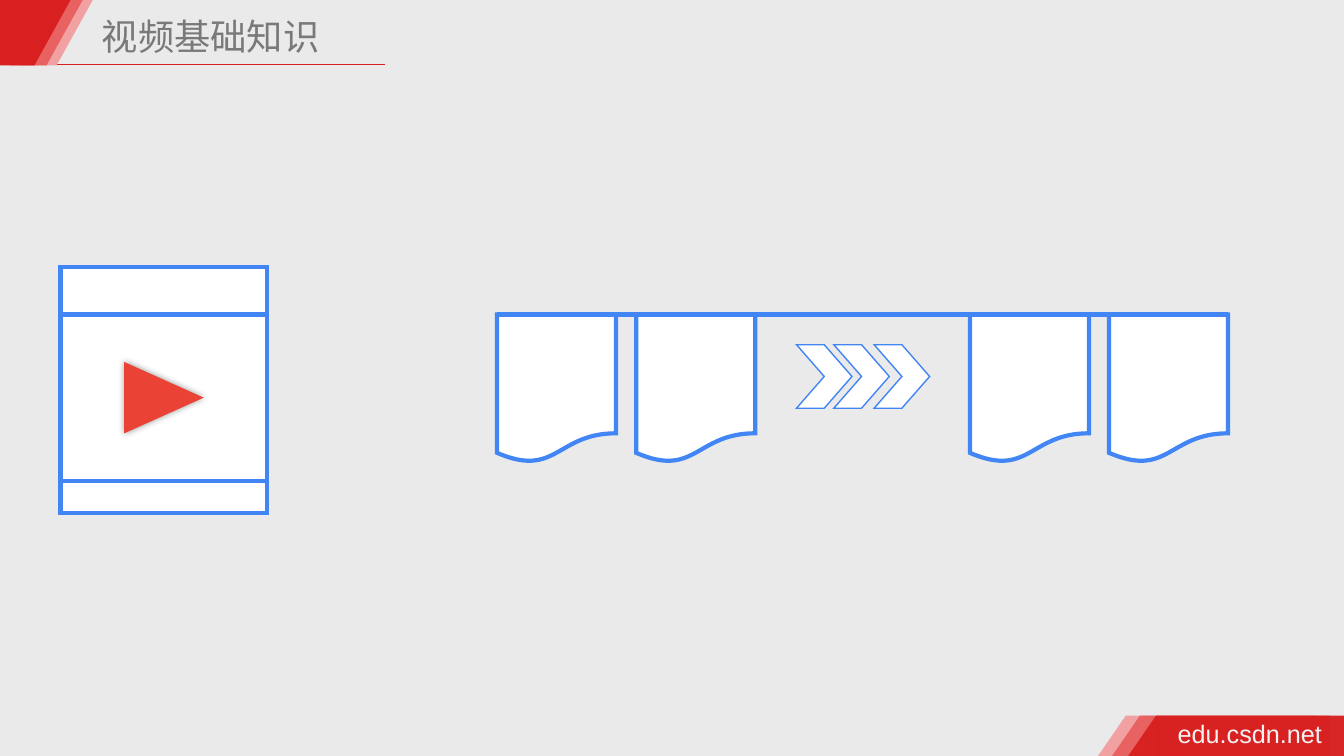
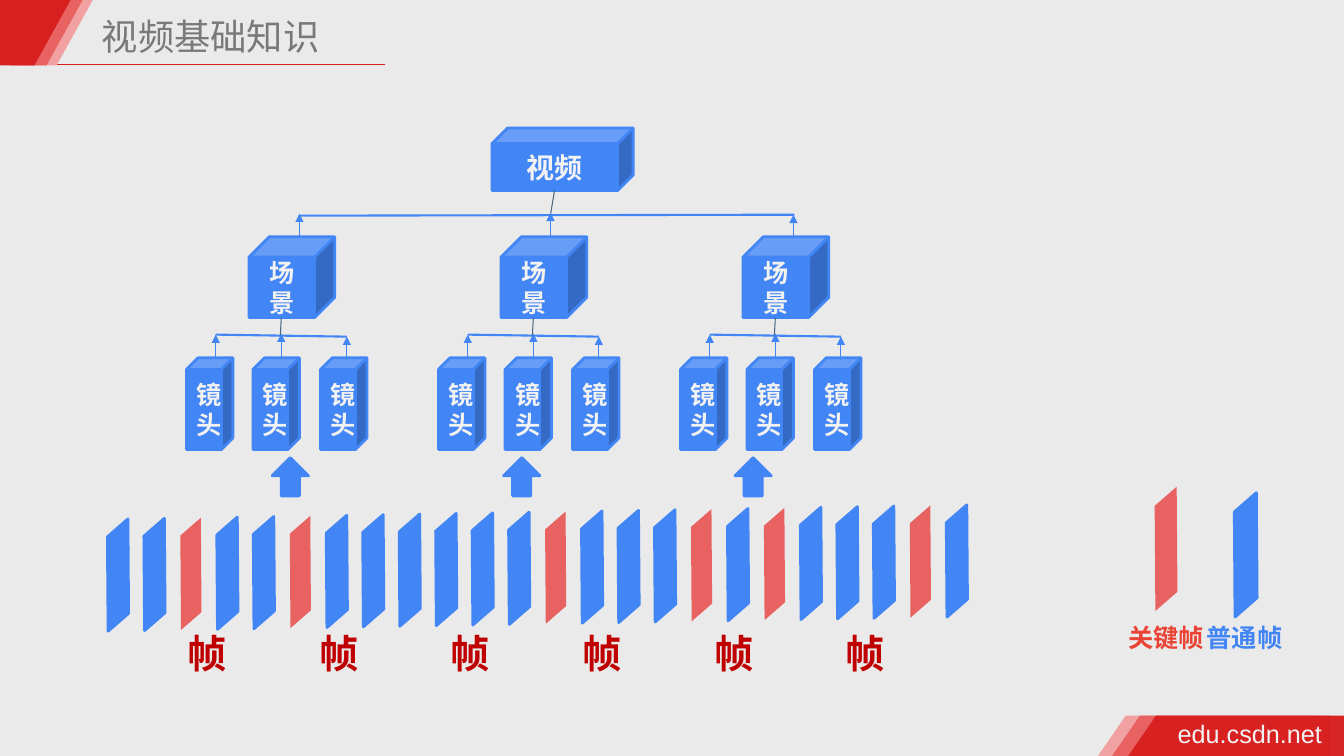
from dataclasses import dataclass
from typing import Any, NamedTuple, Optional

from pptx import Presentation
from pptx.dml.color import RGBColor
from pptx.enum.shapes import MSO_CONNECTOR, MSO_SHAPE as Preset
from pptx.enum.text import MSO_ANCHOR as Anchor, MSO_AUTO_SIZE as AutoSize, PP_ALIGN as Align
from pptx.oxml.ns import qn
from pptx.util import Inches, Pt
from lxml.etree import SubElement

BACKGROUND = "EAEAEA"
RED, MID_RED, PALE_RED = "D82020", "E86262", "F1A1A1"
BLUE, PLAY_RED, DARK_RED = "4285F4", "EA4335", "C00000"
WHITE, OFF_WHITE, GREY, SLATE = "FFFFFF", "F2F2F2", "797979", "476781"
LATIN_FONT, CHINESE_FONT = "Arial", "Noto Sans CJK SC"


class Box(NamedTuple):
    left: float
    top: float
    width: float
    height: float


class Point(NamedTuple):
    x: float
    y: float


@dataclass(frozen=True)
class Paint:
    fill: str
    line: Optional[str] = None
    line_width: float = 0
    mitered: bool = False
    opacity: int = 100


@dataclass(frozen=True)
class TextStyle:
    size: float
    color: str
    bold: bool = False
    font: str = CHINESE_FONT


@dataclass(frozen=True)
class LineStyle:
    color: str
    width: float
    arrow: bool = False


@dataclass(frozen=True)
class Stripe:
    color: str
    header_left: float
    footer_left: float
    opacity: int = 100


STRIPES = (
    Stripe(PALE_RED, 0.2, 10.89),
    Stripe(MID_RED, 0.1, 11.03),
    Stripe(RED, -0.02, 11.19, opacity=97),
)
BLUE_SOLID = Paint(BLUE, BLUE, 2)
KEY_SOLID = Paint(MID_RED)
OUTLINED = Paint(WHITE, BLUE, 3, mitered=True)
THIN_OUTLINED = Paint(WHITE, BLUE, 1, mitered=True)

TITLE_TEXT = TextStyle(25.9, GREY)
FOOTER_TEXT = TextStyle(18, OFF_WHITE, font=LATIN_FONT)
ROOT_TEXT = TextStyle(20, OFF_WHITE, bold=True)
NODE_TEXT = TextStyle(18, OFF_WHITE, bold=True)
FRAME_TEXT = TextStyle(28, DARK_RED, bold=True)

HEADER_LINE = LineStyle(RED, 1)
FILM_LINE = LineStyle(BLUE, 3)
BUS_LINE = LineStyle(BLUE, 1.5)
STEM_LINE = LineStyle(SLATE, 0.75)
ARROW_LINE = LineStyle(BLUE, 0.75, arrow=True)

SCENE_LEFTS = (2.47, 4.97, 7.37)
SHOT_OFFSETS = (-0.62, 0.04, 0.71)
FRAME_COUNT = 24
KEY_FRAMES = {2, 5, 12, 16, 18, 22}
FRAME_ROTATION, FRAME_SKEW = 138.9, 0.86


def rgb(color: str) -> RGBColor:
    return RGBColor.from_string(color)


def apply_format(target: Any, values: dict[str, Any]) -> None:
    for name, value in values.items():
        setattr(target, name, value)


def evenly(first: float, last: float, count: int) -> list[float]:
    """Return count values at equal steps from first to last."""
    return [first + (last - first) * i / (count - 1) for i in range(count)]


def add_block(slide, preset: Preset, box: Box, paint: Paint, rotation: float = 0):
    shape = slide.shapes.add_shape(preset, *map(Inches, box))
    shape.shadow.inherit = False
    shape.rotation = rotation
    shape.fill.solid()
    shape.fill.fore_color.rgb = rgb(paint.fill)
    if paint.opacity < 100:
        color = shape.fill._xPr.find(qn("a:solidFill"))[0]
        SubElement(color, qn("a:alpha"), val=str(paint.opacity * 1000))
    if paint.line is None:
        shape.line.fill.background()
        return shape
    shape.line.color.rgb = rgb(paint.line)
    shape.line.width = Pt(paint.line_width)
    if paint.mitered:
        SubElement(shape.line._get_or_add_ln(), qn("a:miter"), lim="800000")
    return shape


def add_line(slide, start: Point, end: Point, style: LineStyle) -> None:
    connector = slide.shapes.add_connector(
        MSO_CONNECTOR.STRAIGHT, *map(Inches, (*start, *end)))
    connector.line.color.rgb = rgb(style.color)
    connector.line.width = Pt(style.width)
    if style.arrow:
        SubElement(connector.line._get_or_add_ln(), qn("a:tailEnd"), type="triangle")
    SubElement(connector._element.spPr, qn("a:effectLst"))


def write_text(shape, text: str, style: TextStyle, **paragraph_format: Any) -> None:
    paragraph = shape.text_frame.paragraphs[0]
    apply_format(paragraph, paragraph_format)
    run = paragraph.add_run()
    run.text = text
    apply_format(run.font, {"name": style.font, "size": Pt(style.size), "bold": style.bold})
    run.font.color.rgb = rgb(style.color)
    SubElement(run._r.get_or_add_rPr(), qn("a:ea"), typeface=style.font)


def add_label(slide, box: Box, text: str, style: TextStyle, wrap: bool = True,
              grow: bool = True, inset: Optional[float] = None,
              **paragraph_format: Any) -> None:
    label = slide.shapes.add_textbox(*map(Inches, box))
    frame_format = {
        "word_wrap": wrap,
        "auto_size": AutoSize.SHAPE_TO_FIT_TEXT if grow else AutoSize.NONE,
    }
    if inset is not None:
        for side in ("left", "top", "right", "bottom"):
            frame_format[f"margin_{side}"] = Inches(inset)
    apply_format(label.text_frame, frame_format)
    write_text(label, text, style, **paragraph_format)


def add_cube(slide, box: Box, text: str, style: TextStyle) -> None:
    cube = add_block(slide, Preset.CUBE, box, BLUE_SOLID)
    apply_format(cube.text_frame, {"word_wrap": True, "vertical_anchor": Anchor.MIDDLE})
    write_text(cube, text, style, alignment=Align.CENTER)


def add_frame(slide, box: Box, paint: Paint) -> None:
    """Draw one upright slanted film frame."""
    frame = add_block(slide, Preset.PARALLELOGRAM, box, paint, FRAME_ROTATION)
    frame.adjustments[0] = FRAME_SKEW


def add_base_slide(presentation, title: str):
    """Add a slide with the shared background, header and footer."""
    slide = presentation.slides.add_slide(presentation.slide_layouts[6])
    slide.background.fill.solid()
    slide.background.fill.fore_color.rgb = rgb(BACKGROUND)
    add_line(slide, Point(0.49, 0.64), Point(3.82, 0.64), HEADER_LINE)
    for stripe in STRIPES:
        footer = Paint(stripe.color, opacity=stripe.opacity)
        left = stripe.footer_left
        add_block(slide, Preset.RECTANGLE, Box(left + 0.28, 7.1, 1.88, 0.4), footer)
        add_block(slide, Preset.ISOSCELES_TRIANGLE, Box(left, 7.1, 0.55, 0.4), footer)
        header, left = Paint(stripe.color), stripe.header_left
        add_block(slide, Preset.RECTANGLE, Box(left, 0, 0.36, 0.65), header)
        add_block(slide, Preset.ISOSCELES_TRIANGLE, Box(left, 0, 0.72, 0.65), header, 180)
    add_label(slide, Box(11.63, 7.08, 1.55, 0.4), "edu.csdn.net", FOOTER_TEXT,
              wrap=False, inset=0.05)
    add_label(slide, Box(0.96, 0.05, 3.86, 0.56), title, TITLE_TEXT,
              grow=False, inset=0.05, line_spacing=1.1)
    return slide


def add_glow(shape) -> None:
    """Give a shape a soft dark shadow on all sides."""
    effects = shape._element.spPr.find(qn("a:effectLst"))
    shadow = SubElement(effects, qn("a:outerShdw"), blurRad=str(Pt(5)), dist="0",
                        algn="ctr", rotWithShape="0")
    color = SubElement(shadow, qn("a:srgbClr"), val="000000")
    SubElement(color, qn("a:alpha"), val="40000")


def build_film_slide(presentation) -> None:
    slide = add_base_slide(presentation, "视频基础知识")
    for top, height in ((2.65, 2.44), (3.12, 1.65)):
        add_block(slide, Preset.RECTANGLE, Box(0.6, top, 2.05, height), OUTLINED)
    play = add_block(slide, Preset.ISOSCELES_TRIANGLE, Box(1.27, 3.55, 0.71, 0.79),
                     Paint(PLAY_RED), 90)
    add_glow(play)
    for left in (4.93, 6.31, 9.62, 11):
        add_block(slide, Preset.FLOWCHART_DOCUMENT, Box(left, 3.12, 1.18, 1.47), OUTLINED)
    for left in (7.9, 8.27, 8.67):
        add_block(slide, Preset.CHEVRON, Box(left, 3.42, 0.55, 0.63), THIN_OUTLINED)
    add_line(slide, Point(4.93, 3.12), Point(12.18, 3.12), FILM_LINE)


def add_scene(slide, left: float) -> None:
    """Draw a scene with its three shots and the lines between them."""
    add_cube(slide, Box(left, 2.35, 0.85, 0.8), "场景", NODE_TEXT)
    for offset in SHOT_OFFSETS:
        add_cube(slide, Box(left + offset, 3.55, 0.46, 0.91), "镜头", NODE_TEXT)
    add_line(slide, Point(left - 0.33, 3.32), Point(left + 0.97, 3.34), BUS_LINE)
    add_line(slide, Point(left + 0.32, 3.15), Point(left + 0.31, 3.34), STEM_LINE)
    for offset, bottom in ((-0.33, 3.55), (0.32, 3.54), (0.97, 3.57)):
        add_line(slide, Point(left + offset, bottom), Point(left + offset, bottom - 0.23),
                 ARROW_LINE)


def build_structure_slide(presentation) -> None:
    slide = add_base_slide(presentation, "视频基础知识")
    add_cube(slide, Box(4.88, 1.27, 1.4, 0.62), "视频", ROOT_TEXT)
    frame_places = zip(evenly(0.73, 9.05, FRAME_COUNT), evenly(5.35, 5.21, FRAME_COUNT))
    for number, (left, top) in enumerate(frame_places):
        paint = KEY_SOLID if number in KEY_FRAMES else BLUE_SOLID
        add_frame(slide, Box(left, top, 0.88, 0.71), paint)
    for left in evenly(1.76, 8.29, 6):
        add_label(slide, Box(left, 6.19, 0.45, 0.57), "帧", FRAME_TEXT)
    for left in evenly(2.7, 7.29, 3):
        add_block(slide, Preset.UP_ARROW, Box(left, 4.54, 0.36, 0.38), BLUE_SOLID)

    for left in SCENE_LEFTS:
        add_scene(slide, left)
    add_line(slide, Point(2.97, 2.14), Point(7.88, 2.13), BUS_LINE)
    add_line(slide, Point(5.5, 1.89), Point(5.46, 2.13), STEM_LINE)
    for x, bottom in ((2.97, 2.36), (5.46, 2.35), (7.87, 2.37)):
        add_line(slide, Point(x, bottom), Point(x, bottom - 0.24), ARROW_LINE)

    add_frame(slide, Box(11.08, 5.05, 0.97, 0.79), KEY_SOLID)
    add_frame(slide, Box(11.87, 5.11, 0.97, 0.79), BLUE_SOLID)
    for left, text, color in ((11.09, "关键帧", PLAY_RED), (11.87, "普通帧", BLUE)):
        add_label(slide, Box(left, 6.12, 0.96, 0.4), text,
                  TextStyle(18, color, bold=True), wrap=False)


def main() -> None:
    presentation = Presentation()
    apply_format(presentation, {"slide_width": Inches(13.33), "slide_height": Inches(7.5)})
    build_film_slide(presentation)
    build_structure_slide(presentation)
    presentation.save("out.pptx")


if __name__ == "__main__":
    main()
